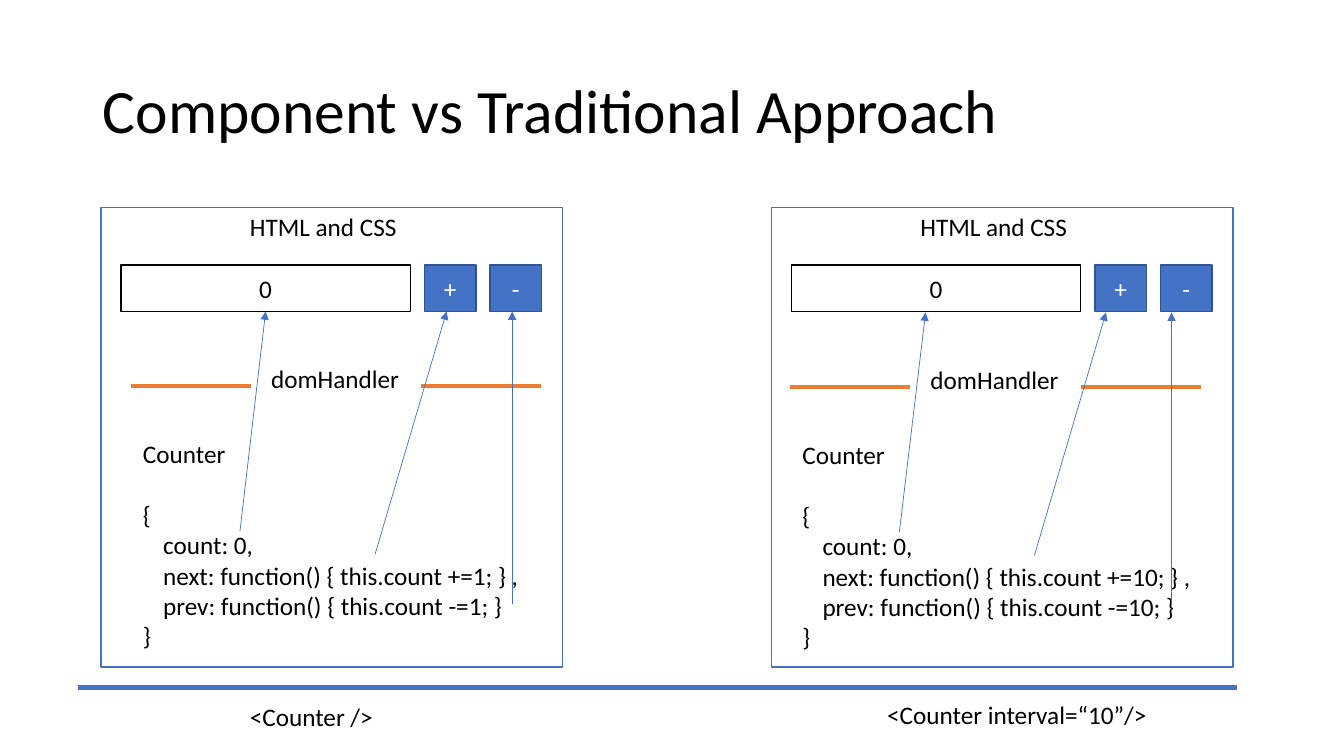
from dataclasses import dataclass

from lxml import etree
from pptx import Presentation
from pptx.dml.color import RGBColor
from pptx.enum.shapes import MSO_CONNECTOR, MSO_SHAPE
from pptx.enum.text import MSO_ANCHOR, MSO_AUTO_SIZE, PP_ALIGN
from pptx.oxml.ns import qn
from pptx.util import Pt

RECTANGLE = MSO_SHAPE.RECTANGLE
STRAIGHT = MSO_CONNECTOR.STRAIGHT
MIDDLE = MSO_ANCHOR.MIDDLE
NO_FIT, GROW = MSO_AUTO_SIZE.NONE, MSO_AUTO_SIZE.SHAPE_TO_FIT_TEXT
LEFT, CENTER = PP_ALIGN.LEFT, PP_ALIGN.CENTER

SCALE = 9144  # EMU per px, 100 px to the inch
BOTTOM_SIDE = 2
CODE_INDENT = 20


@dataclass(frozen=True)
class Theme:
    font: str = "Calibri"
    title_size: int = 44
    body_size: int = 18
    black: RGBColor = RGBColor(0x00, 0x00, 0x00)
    white: RGBColor = RGBColor(0xFF, 0xFF, 0xFF)
    blue: RGBColor = RGBColor(0x44, 0x72, 0xC4)
    dark_blue: RGBColor = RGBColor(0x32, 0x54, 0x91)
    orange: RGBColor = RGBColor(0xED, 0x7D, 0x31)


THEME = Theme()


def px(*lengths):
    return [length * SCALE for length in lengths]


def style(paragraph, size=THEME.body_size, color=THEME.black):
    paragraph.font.name = THEME.font
    paragraph.font.size = Pt(size)
    paragraph.font.color.rgb = color


def add_box(slide, box, fill, border, label="", color=THEME.black):
    rectangle = slide.shapes.add_shape(RECTANGLE, *px(*box))
    rectangle.shadow.inherit = False
    rectangle.fill.solid()
    rectangle.fill.fore_color.rgb = fill
    rectangle.line.color.rgb = border
    rectangle.line.width = Pt(1)
    if label:
        rectangle.text_frame.text = label
        rectangle.text_frame.vertical_anchor = MIDDLE
        caption = rectangle.text_frame.paragraphs[0]
        caption.alignment = CENTER
        style(caption, color=color)
    return rectangle


def add_text(slide, box, text):
    frame = slide.shapes.add_textbox(*px(*box)).text_frame
    frame.text = text
    frame.word_wrap = False
    frame.auto_size = GROW
    for paragraph in frame.paragraphs:
        style(paragraph)
    return frame


def add_line(slide, start, end, color, width, arrow=False):
    line = slide.shapes.add_connector(STRAIGHT, *px(*start, *end))
    line.line.color.rgb = color
    line.line.width = Pt(width)
    if arrow:
        outline = line.line._get_or_add_ln()
        etree.SubElement(outline, qn("a:tailEnd"), type="triangle")
    etree.SubElement(line._element.spPr, qn("a:effectLst"))
    return line


def add_title(slide, box, text):
    title = slide.shapes.title
    title.left, title.top, title.width, title.height = px(*box)
    frame = title.text_frame
    frame.text = text
    frame.vertical_anchor = MIDDLE
    frame.word_wrap = True
    frame.auto_size = NO_FIT
    heading = frame.paragraphs[0]
    heading.alignment = LEFT
    heading.line_spacing = 0.9
    style(heading, THEME.title_size)


def add_view(slide, box):
    """Draw the HTML side of a counter and return its display, plus and minus boxes."""
    left, top, width, height = box
    add_box(slide, box, THEME.white, THEME.blue)
    controls = [add_box(slide, (left + 20, top + 57, 287, 46),
                        THEME.white, THEME.black, "0")]
    for column, sign in enumerate("+-"):
        controls.append(add_box(slide, (left + 321 + column * 65, top + 57, 51, 46),
                                THEME.blue, THEME.dark_blue, sign, THEME.white))
    add_text(slide, (left + 138, top - 1, 167, 40), "HTML and CSS")
    return controls


def add_handler(slide, box, step, controls):
    """Draw the counter code, its divider and the arrows up to the controls."""
    left, top, width, height = box
    code = add_text(slide, (left + 2, top + 47, width, height - 47), "\n".join([
        "Counter",
        "{",
        "count: 0,",
        f"next: function() {{ this.count +={step}; }} ,",
        f"prev: function() {{ this.count -={step}; }}",
        "}",
    ]))
    code.paragraphs[1].space_before = Pt(22)
    for member in code.paragraphs[2:5]:
        member._p.get_or_add_pPr().set("marL", str(CODE_INDENT * SCALE))

    for dash_left in (left, left + 288):
        add_line(slide, (dash_left, top), (dash_left + 119, top), THEME.orange, 2.25)
    add_text(slide, (left + 129, top - 27, 149, 40), "domHandler")

    arrows = [((108, 144), 134), ((242, 167), 313), ((378, 216), 378)]
    for ((tail_x, tail_y), tip_x), control in zip(arrows, controls):
        tip = left + tip_x, top - 74
        arrow = add_line(slide, (left + tail_x, top + tail_y), tip,
                         THEME.blue, 0.5, arrow=True)
        if abs(control.left + control.width // 2 - tip[0] * SCALE) <= SCALE:
            arrow.end_connect(control, BOTTOM_SIDE)


def add_counter(slide, view_box, handler_box, step, tag_box, tag):
    controls = add_view(slide, view_box)
    add_handler(slide, handler_box, step, controls)
    add_text(slide, tag_box, tag)


def main():
    presentation = Presentation()
    presentation.slide_width, presentation.slide_height = px(1333, 750)
    slide = presentation.slides.add_slide(presentation.slide_layouts[5])
    add_title(slide, (92, 40, 1150, 145), "Component vs Traditional Approach")
    add_counter(slide, (100, 206, 458, 456), (130, 383, 397, 269), 1,
                (238, 691, 144, 40), "<Counter />")
    add_counter(slide, (765, 206, 458, 456), (784, 384, 410, 269), 10,
                (870, 689, 281, 40), "<Counter interval=“10”/>")
    add_line(slide, (77, 682), (1227, 682), THEME.blue, 3)
    presentation.save("out.pptx")


if __name__ == "__main__":
    main()
